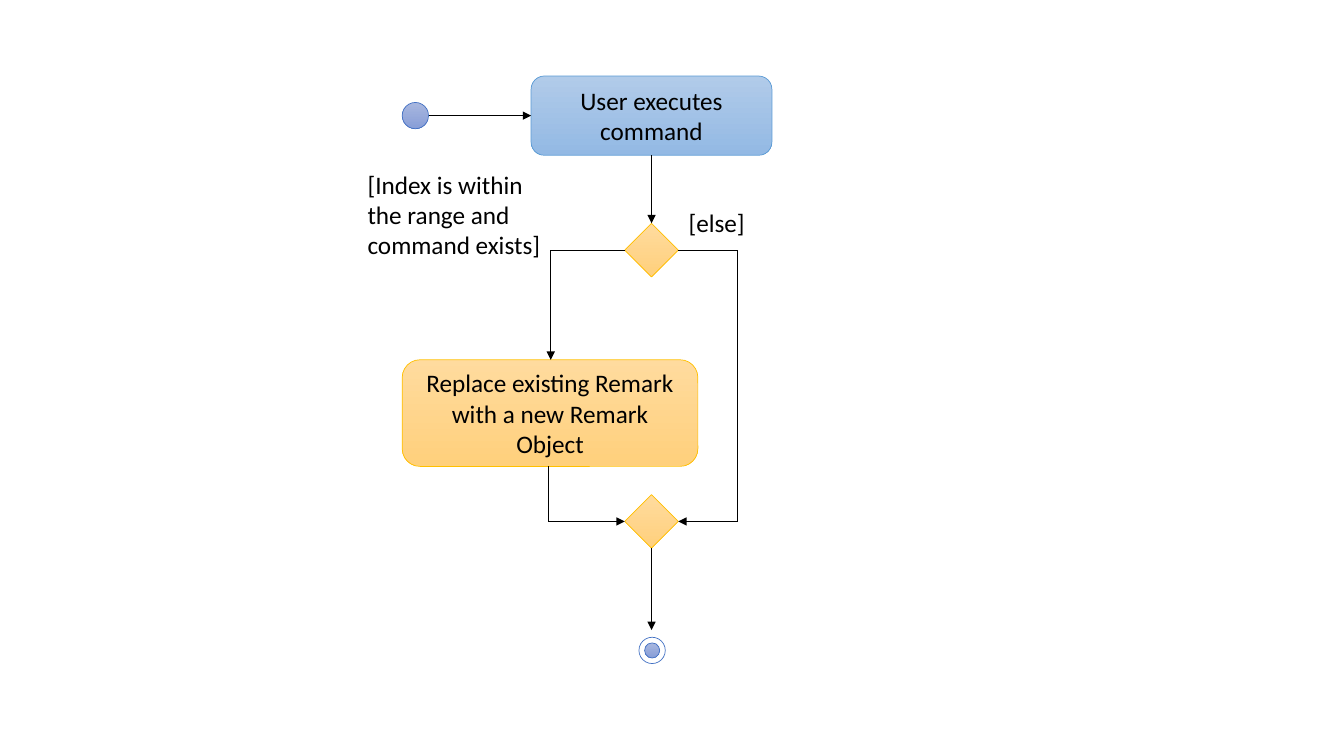
from pptx import Presentation
from pptx.dml.color import RGBColor as RGB
from pptx.enum.shapes import MSO_CONNECTOR as LINK, MSO_SHAPE as SHAPE
from pptx.enum.text import MSO_ANCHOR as ANCHOR, MSO_AUTO_SIZE as FIT, PP_ALIGN as ALIGN
from pptx.oxml.ns import qn
from pptx.util import Pt
from lxml.etree import SubElement as Sub


class Theme:
    font, size, line = "Calibri", 18, 0.5
    ink = "000000"
    # gradient top, gradient bottom, outline
    start = ("A8B7DF", "889ED7", "4472C4")
    ring = ("FFFFFF", "FFFFFF", "4472C4")
    user = ("B1CBE9", "93B9E4", "5B9BD5")
    step = ("FFDB9E", "FFD07C", "FFC000")


def write(frame, text, align):
    frame.word_wrap = True
    para = frame.paragraphs[0]
    para.text, para.alignment = text, align
    style = {"name": Theme.font, "size": Pt(Theme.size)}
    for key, value in style.items():
        setattr(para.font, key, value)
    para.font.color.rgb = RGB.from_string(Theme.ink)


def node(shapes, kind, mid, size, tone, text=""):
    """Draw a filled shape centred on mid."""
    (x, y), (w, h) = mid, size
    shape = shapes.add_shape(kind, Pt(x - w / 2), Pt(y - h / 2), Pt(w), Pt(h))
    shape.shadow.inherit = False
    top, bottom, edge = tone
    if top == bottom:
        shape.fill.solid()
        shape.fill.fore_color.rgb = RGB.from_string(top)
    else:
        shape.fill.gradient()
        shape.fill.gradient_angle = 270
        for stop, color in zip(shape.fill.gradient_stops, (top, bottom)):
            stop.color.rgb = RGB.from_string(color)
    shape.line.color.rgb = RGB.from_string(edge)
    shape.line.width = Pt(Theme.line)
    if text:
        write(shape.text_frame, text, ALIGN.CENTER)
        shape.text_frame.vertical_anchor = ANCHOR.MIDDLE


def label(shapes, box, text):
    frame = shapes.add_textbox(*map(Pt, box)).text_frame
    write(frame, text, ALIGN.LEFT)
    frame.auto_size = FIT.SHAPE_TO_FIT_TEXT


def route(shapes, *points, arrow=True):
    """Join the points with straight lines; the last one may have an arrowhead."""
    for start, end in zip(points, points[1:]):
        link = shapes.add_connector(LINK.STRAIGHT, *map(Pt, start + end))
        link.line.color.rgb = RGB.from_string(Theme.ink)
        link.line.width = Pt(Theme.line)
        if arrow and end == points[-1]:
            Sub(link.line._get_or_add_ln(), qn("a:tailEnd"), type="triangle")
        Sub(link._element.spPr, qn("a:effectLst"))


def main():
    deck = Presentation()
    deck.slide_width, deck.slide_height = Pt(960), Pt(540)
    shapes = deck.slides.add_slide(deck.slide_layouts[6]).shapes

    axis, left, right = 465.4, 393.4, 527
    top, fork, task, join, end = 82.6, 178.6, 295.1, 372.5, 464.6
    dot, gem = 18.8, 38.2
    user, step = (172, 56.6), (211.2, 76.2)
    west, east = axis - gem / 2, axis + gem / 2

    node(shapes, SHAPE.OVAL, (296.7, top), (dot, dot), Theme.start)
    node(shapes, SHAPE.ROUNDED_RECTANGLE, (axis, top), user, Theme.user,
         "User executes command")
    for y in (fork, join):
        node(shapes, SHAPE.DIAMOND, (axis, y), (gem, gem), Theme.step)
    node(shapes, SHAPE.ROUNDED_RECTANGLE, (392.9, task), step, Theme.step,
         "Replace existing Remark with a new Remark Object")

    route(shapes, (296.7 + dot / 2, top), (axis - user[0] / 2, top))
    route(shapes, (axis, top + user[1] / 2), (axis, fork - gem / 2))
    route(shapes, (west, fork), (left, fork), (left, task - step[1] / 2))
    route(shapes, (391.7, task + step[1] / 2), (391.7, join), (west, join))
    route(shapes, (east, fork), (right, fork), (right, join), (east, join))
    route(shapes, (axis, join + gem / 2), (axis, 450))

    label(shapes, (255.5, 117.2, 150, 72.7),
          "[Index is within the range and command exists]")
    label(shapes, (484.8, 144.8, 67, 29.1), "[else]")

    final = shapes.add_group_shape().shapes
    for size, tone in ((dot, Theme.ring), (10.8, Theme.start)):
        node(final, SHAPE.OVAL, (axis + 0.4, end), (size, size), tone)

    deck.save("out.pptx")


if __name__ == "__main__":
    main()
